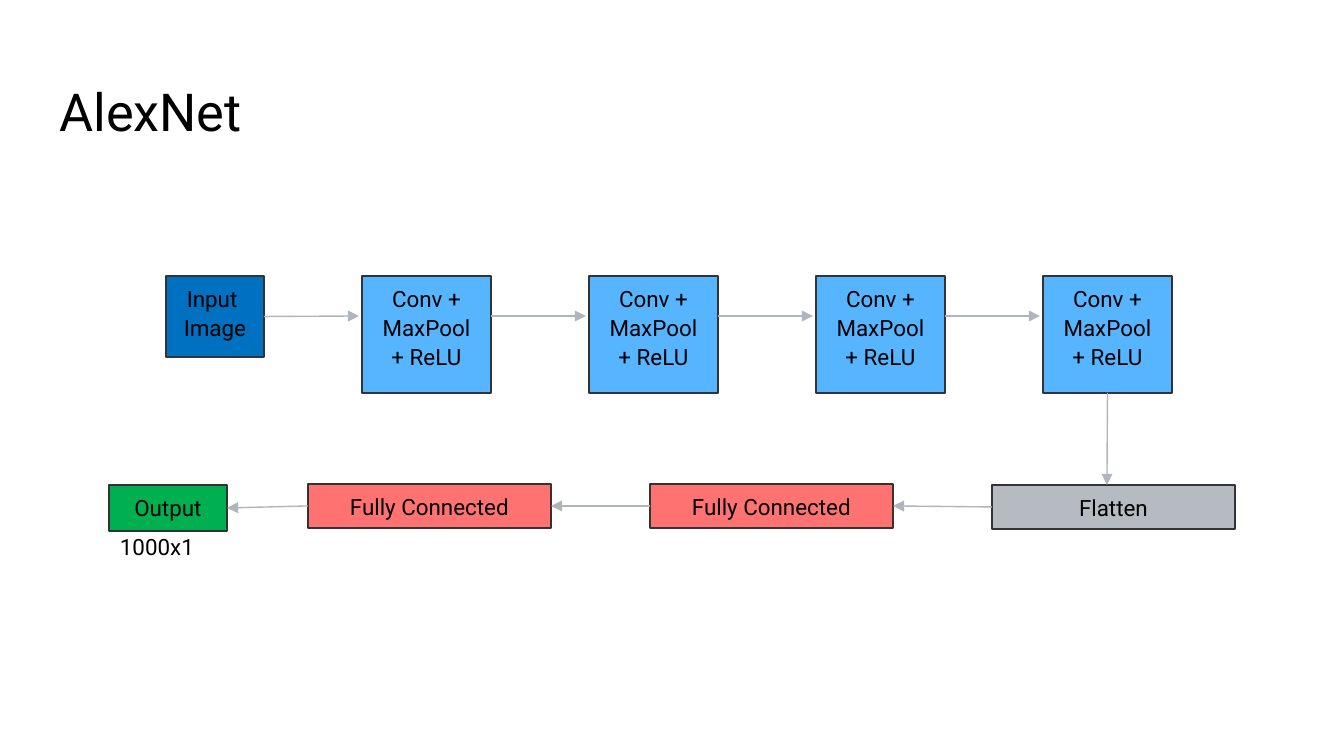
from dataclasses import dataclass
from typing import Optional

from lxml import etree
from pptx import Presentation
from pptx import util as u
from pptx.dml.color import RGBColor
from pptx.enum import shapes, text
from pptx.oxml import ns

PX_PER_INCH = 134.4
FONT = "Roboto"
LAYER_TOP = 276
ARROW_Y = 316
CONV_LEFT, CONV_STEP, CONV_WIDTH = 362, 227, 129
DENSE_LEFT, DENSE_STEP, DENSE_WIDTH = 308, 342, 243
TOP, LEFT, BOTTOM, RIGHT = range(4)


@dataclass
class Layer:
    label: str
    fill: str
    left: int
    top: int
    width: int
    height: int


@dataclass
class Arrow:
    start: tuple[int, int]
    end: tuple[int, int]
    source: Optional[tuple] = None
    target: Optional[tuple] = None


def px(length: int) -> int:
    return u.Emu(round(length * u.Inches(1) / PX_PER_INCH))


def colour(value: str) -> RGBColor:
    return RGBColor.from_string(value)


def write(paragraph, wording: str, size: int = 12) -> None:
    for index, line in enumerate(wording.split("\n")):
        if index:
            paragraph.add_line_break()
        run = paragraph.add_run()
        run.text = line
        run.font.name = FONT
        run.font.size = u.Pt(size)
        run.font.color.rgb = colour("000000")


def set_frame(frame, side: float, edge: float) -> None:
    frame.word_wrap = True
    frame.auto_size = text.MSO_AUTO_SIZE.NONE
    frame.vertical_anchor = text.MSO_ANCHOR.TOP
    frame.margin_left = frame.margin_right = u.Inches(side)
    frame.margin_top = frame.margin_bottom = u.Inches(edge)


def draw_layer(slide, layer: Layer):
    box = slide.shapes.add_shape(
        shapes.MSO_SHAPE.RECTANGLE,
        px(layer.left), px(layer.top), px(layer.width), px(layer.height),
    )
    box.shadow.inherit = False
    box.fill.solid()
    box.fill.fore_color.rgb = colour(layer.fill)
    box.line.color.rgb = colour("333333")
    box.line.width = u.Pt(0.75)
    set_frame(box.text_frame, 0.1, 0.05)
    paragraph = box.text_frame.paragraphs[0]
    paragraph.alignment = text.PP_ALIGN.CENTER
    paragraph.line_spacing = 1.08
    write(paragraph, layer.label)
    return box


def draw_arrow(slide, arrow: Arrow) -> None:
    link = slide.shapes.add_connector(
        shapes.MSO_CONNECTOR.STRAIGHT,
        *map(px, arrow.start), *map(px, arrow.end),
    )
    if arrow.source:
        link.begin_connect(*arrow.source)
    if arrow.target:
        link.end_connect(*arrow.target)
    link.line.color.rgb = colour("B0B5BC")
    link.line.width = u.Pt(0.75)
    etree.SubElement(link.line._get_or_add_ln(), ns.qn("a:tailEnd"), type="triangle")
    etree.SubElement(link._element.spPr, ns.qn("a:effectLst"))


def main() -> None:
    deck = Presentation()
    deck.slide_width, deck.slide_height = px(1344), px(756)
    slide = deck.slides.add_slide(deck.slide_layouts[5])

    title = slide.shapes.title
    title.left, title.top, title.width, title.height = map(px, (46, 66, 1253, 85))
    set_frame(title.text_frame, 0.1, 0.1)
    heading = title.text_frame.paragraphs[0]
    heading.alignment = text.PP_ALIGN.LEFT
    write(heading, "AlexNet", 28)

    input_image = draw_layer(
        slide, Layer("Input \nImage", "0070C0", 166, LAYER_TOP, 98, 81)
    )
    conv_lefts = [CONV_LEFT + CONV_STEP * i for i in range(4)]
    convs = [
        draw_layer(
            slide,
            Layer("Conv + MaxPool + ReLU", "57B5FF", left, LAYER_TOP, CONV_WIDTH, 117),
        )
        for left in conv_lefts
    ]
    dense_lefts = [DENSE_LEFT + DENSE_STEP * i for i in range(3)]
    flatten = draw_layer(
        slide, Layer("Flatten", "B6BBC1", dense_lefts[2], 485, DENSE_WIDTH, 44)
    )
    connected = [
        draw_layer(slide, Layer("Fully Connected", "FF7272", left, 484, DENSE_WIDTH, 44))
        for left in reversed(dense_lefts[:2])
    ]
    output = draw_layer(slide, Layer("Output", "00B050", 109, 485, 118, 46))

    arrows = [
        Arrow((264, ARROW_Y), (conv_lefts[0] - 3, ARROW_Y), source=(input_image, RIGHT)),
        Arrow((1107, 393), (1107, 485), source=(convs[-1], BOTTOM)),
    ]
    arrows += [
        Arrow((left + CONV_WIDTH, ARROW_Y), (following - 3, ARROW_Y))
        for left, following in zip(conv_lefts, conv_lefts[1:])
    ]
    dense_chain = [flatten, *connected, output]
    arrows += [
        Arrow((0, 0), (0, 0), (source, LEFT), (target, RIGHT))
        for source, target in zip(dense_chain, dense_chain[1:])
    ]
    for arrow in arrows:
        draw_arrow(slide, arrow)

    output_size = slide.shapes.add_textbox(*map(px, (120, 531, 85, 34)))
    set_frame(output_size.text_frame, 0, 0)
    caption = output_size.text_frame.paragraphs[0]
    caption.line_spacing = 1.08
    write(caption, "1000x1")

    deck.save("out.pptx")


if __name__ == "__main__":
    main()
